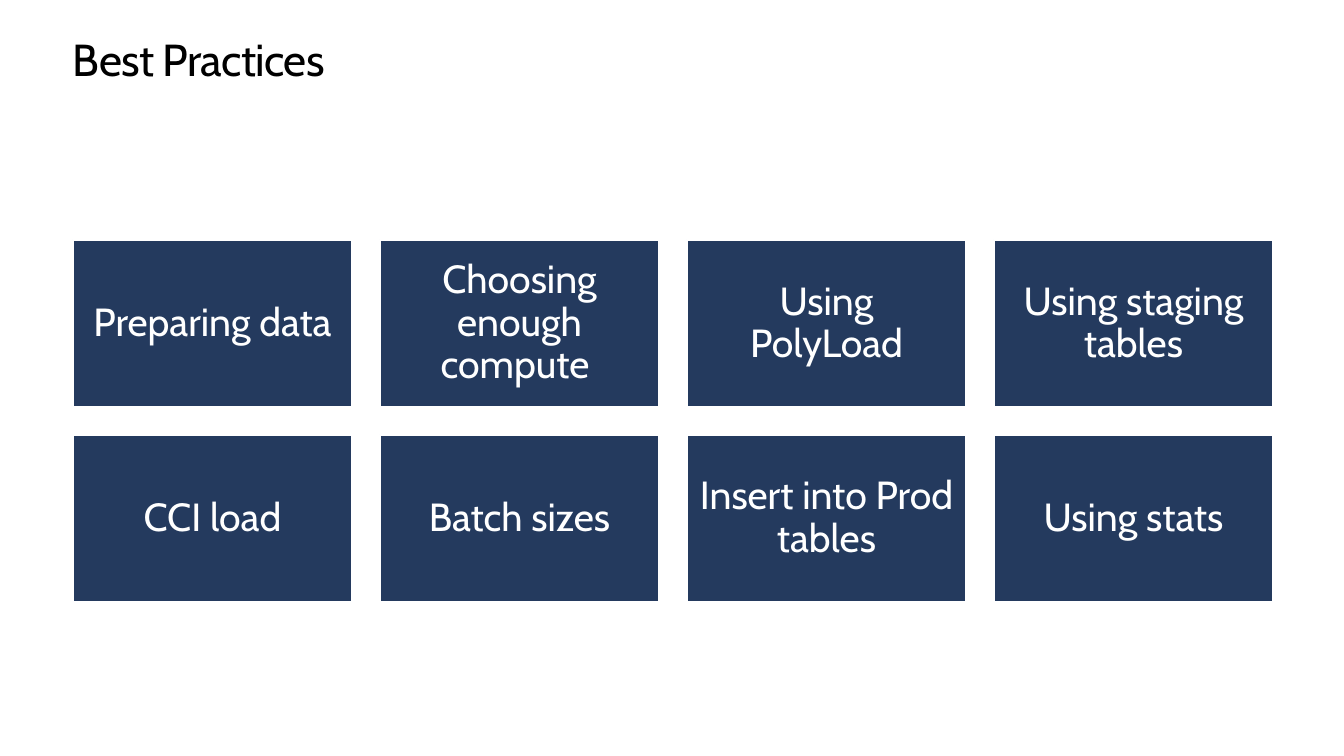
from pptx import Presentation
from pptx.dml.color import RGBColor
from pptx.enum.shapes import MSO_SHAPE
from pptx.enum.text import MSO_ANCHOR, MSO_AUTO_SIZE, PP_ALIGN
from pptx.util import Emu, Pt

NAVY = RGBColor(0x24, 0x3A, 0x5E)
WHITE = RGBColor(0xFF, 0xFF, 0xFF)
BLACK = RGBColor(0x00, 0x00, 0x00)
FONT = "Cabin"

PRACTICES = [
    "Preparing data", "Choosing enough compute ", "Using PolyLoad", "Using staging tables",
    "CCI load", "Batch sizes", "Insert into Prod tables", "Using stats",
]
COLUMNS = 4
GAP = 28


def px(n):
    """Turn px, at 100.8 to the inch, into EMU."""
    return Emu(round(n * 914400 / 100.8))


def write(sp, text, size, color, align, anchor, line_spacing, inset=0, spacing=None):
    tf = sp.text_frame
    tf.word_wrap = True
    tf.auto_size = MSO_AUTO_SIZE.NONE
    tf.vertical_anchor = anchor
    tf.margin_left = tf.margin_top = tf.margin_right = tf.margin_bottom = px(inset)
    p = tf.paragraphs[0]
    p.alignment = align
    p.line_spacing = line_spacing
    p.space_before = Pt(0)
    r = p.add_run()
    r.text = text
    r.font.name = FONT
    r.font.size = Pt(size)
    r.font.color.rgb = color
    if spacing is not None:
        r.font._element.set("spc", str(spacing))


def add_title(s, text, left, top, width, height):
    sp = s.shapes.title
    sp.left, sp.top, sp.width, sp.height = map(px, (left, top, width, height))
    write(sp, text, size=32, color=BLACK, align=PP_ALIGN.LEFT,
          anchor=MSO_ANCHOR.TOP, line_spacing=Pt(36.2), spacing=-50)


def add_tile(s, text, left, top, width, height):
    sp = s.shapes.add_shape(MSO_SHAPE.RECTANGLE, *map(px, (left, top, width, height)))
    sp.shadow.inherit = False
    sp.fill.solid()
    sp.fill.fore_color.rgb = NAVY
    sp.line.color.rgb = WHITE
    sp.line.width = Pt(1.5)
    write(sp, text, size=28, color=WHITE, align=PP_ALIGN.CENTER,
          anchor=MSO_ANCHOR.MIDDLE, line_spacing=0.9, inset=12)


def add_tile_grid(s, texts, left, top, width, height):
    rows = len(texts) // COLUMNS
    tile_w = (width - GAP * (COLUMNS - 1)) // COLUMNS
    tile_h = (height - GAP * (rows - 1)) // rows
    for i, text in enumerate(texts):
        row, col = divmod(i, COLUMNS)
        add_tile(s, text, left + col * (tile_w + GAP), top + row * (tile_h + GAP),
                 tile_w, tile_h)


def main():
    prs = Presentation()
    prs.slide_width, prs.slide_height = px(1344), px(756)
    s = prs.slides.add_slide(prs.slide_layouts[5])
    add_title(s, "Best Practices", 73, 35, 1200, 50)
    add_tile_grid(s, PRACTICES, 73, 240, 1200, 362)
    prs.save("out.pptx")


if __name__ == "__main__":
    main()
